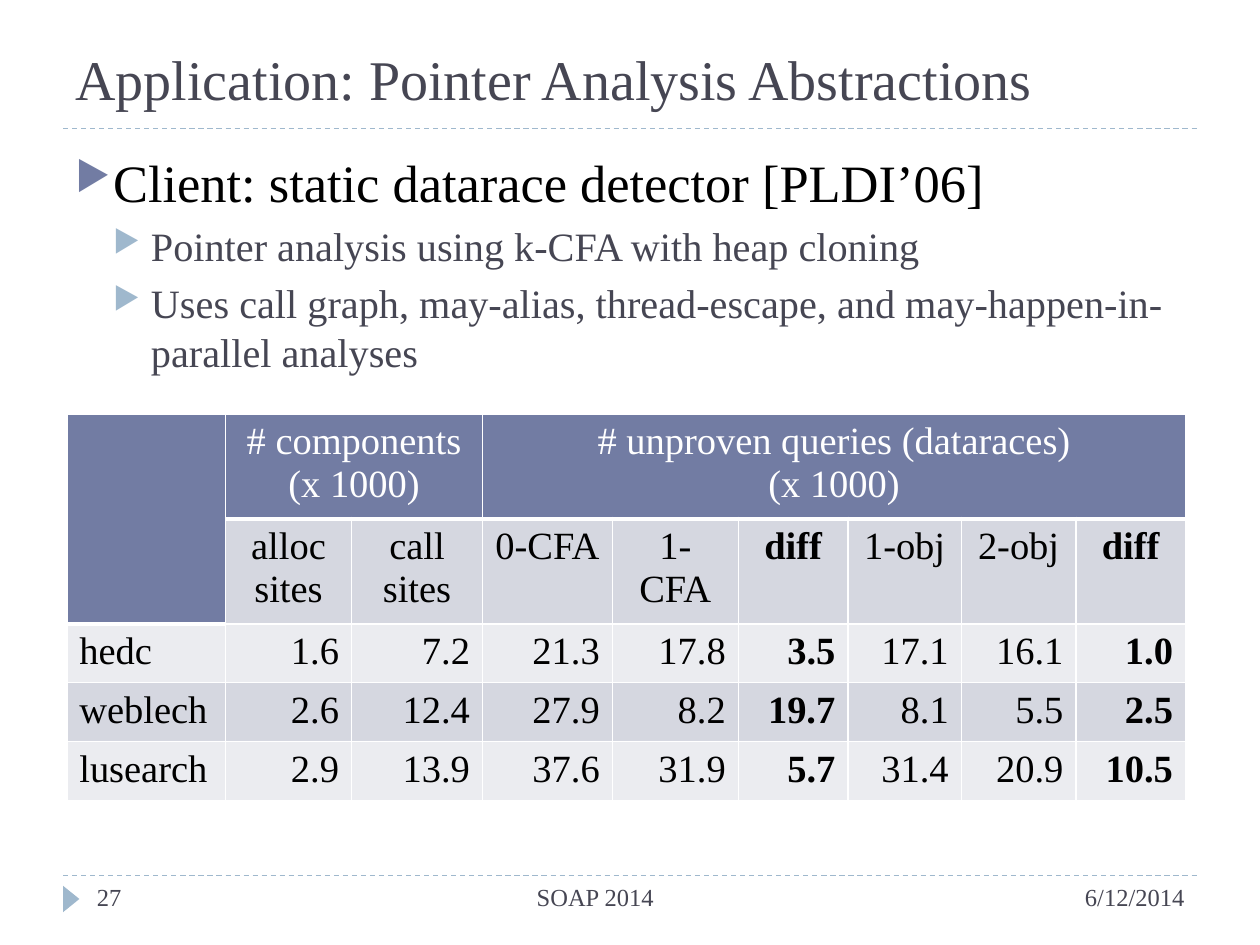
from lxml.etree import SubElement
from pptx import Presentation
from pptx.dml.color import RGBColor
from pptx.enum.dml import MSO_LINE
from pptx.enum.shapes import MSO_CONNECTOR, MSO_SHAPE
from pptx.enum.text import MSO_ANCHOR, PP_ALIGN
from pptx.oxml.ns import qn
from pptx.util import Pt

FONT = "Times New Roman"
WHITE = RGBColor(0xFF, 0xFF, 0xFF)
BLACK = RGBColor(0, 0, 0)
SLATE = RGBColor(0x46, 0x46, 0x53)
INDIGO = RGBColor(0x72, 0x7C, 0xA3)
SKY = RGBColor(0x9F, 0xB8, 0xCD)
BAND_DARK = RGBColor(0xD5, 0xD7, 0xE0)
BAND_LIGHT = RGBColor(0xEB, 0xEC, 0xF0)

TITLE = "Application: Pointer Analysis Abstractions"
BULLETS = [
    (0, "Client: static datarace detector [PLDI’06]"),
    (1, "Pointer analysis using k-CFA with heap cloning"),
    (1, "Uses call graph, may-alias, thread-escape, and may-happen-in-parallel analyses"),
]
BULLET_STYLES = [(30, BLACK, INDIGO, 6), (23, SLATE, SKY, 5)]
FOOTERS = [
    ("27", 48.24, 64.08, PP_ALIGN.LEFT),
    ("SOAP 2014", 112.32, 455.76, PP_ALIGN.CENTER),
    ("6/12/2014", 504, 180, PP_ALIGN.RIGHT),
]
RULES = [73.44, 500.4]

TABLE_ROWS = [
    ["", "# components\v(x 1000)", "", "# unproven queries (dataraces)\v(x 1000)", "", "", "", "", ""],
    ["", "alloc sites", "call sites", "0-CFA", "1-CFA", "diff", "1-obj", "2-obj", "diff"],
    ["hedc", "1.6", "7.2", "21.3", "17.8", "3.5", "17.1", "16.1", "1.0"],
    ["weblech", "2.6", "12.4", "27.9", "8.2", "19.7", "8.1", "5.5", "2.5"],
    ["lusearch", "2.9", "13.9", "37.6", "31.9", "5.7", "31.4", "20.9", "10.5"],
]
COLUMN_WIDTHS = [90.72, 72, 74.88, 74.16, 72, 62.64, 64.8, 65.52, 62.64]
ROW_HEIGHTS = [55.4, 55.4, 31.6, 31.6, 31.6]
MERGES = [((0, 0), (1, 0)), ((0, 1), (0, 2)), ((0, 3), (0, 8))]
DIFF_COLUMNS = (5, 8)


def style_runs(paragraph, size, color, bold=False):
    for run in paragraph.runs:
        run.font.name = FONT
        run.font.size = Pt(size)
        run.font.bold = bold
        run.font.color.rgb = color


def add_text(slide, text, left, top, width, height, size, color, align=PP_ALIGN.LEFT):
    box = slide.shapes.add_textbox(Pt(left), Pt(top), Pt(width), Pt(height))
    box.text_frame.word_wrap = True
    box.text_frame.text = text
    paragraph = box.text_frame.paragraphs[0]
    paragraph.alignment = align
    style_runs(paragraph, size, color)
    return box


def add_bullet(paragraph, level, color):
    properties = paragraph._p.get_or_add_pPr()
    properties.set("marL", str(Pt(21.6 * (level + 1))))
    properties.set("indent", str(-Pt(21.6)))
    bullet_color = SubElement(properties, qn("a:buClr"))
    SubElement(bullet_color, qn("a:srgbClr"), val=str(color))
    SubElement(properties, qn("a:buSzPct"), val="76000")
    SubElement(properties, qn("a:buChar"), char="▶")


def add_body(slide):
    box = slide.shapes.add_textbox(Pt(36), Pt(82.08), Pt(648), Pt(388.8))
    frame = box.text_frame
    frame.word_wrap = True
    frame.text = "\n".join(text for _, text in BULLETS)
    for index, paragraph in enumerate(frame.paragraphs):
        level = BULLETS[index][0]
        size, color, bullet_color, space = BULLET_STYLES[level]
        paragraph.level = level
        if index:
            paragraph.space_before = Pt(space)
        add_bullet(paragraph, level, bullet_color)
        style_runs(paragraph, size, color)


def add_rule(slide, top):
    rule = slide.shapes.add_connector(MSO_CONNECTOR.STRAIGHT, Pt(36), Pt(top), Pt(684), Pt(top))
    rule.line.color.rgb = SKY
    rule.line.width = Pt(0.75)
    rule.line.dash_style = MSO_LINE.DASH
    SubElement(rule._element.spPr, qn("a:effectLst"))


def set_borders(cell, bottom_width):
    properties = cell._tc.get_or_add_tcPr()
    widths = {"a:lnL": 1, "a:lnR": 1, "a:lnT": 1, "a:lnB": bottom_width}
    for position, (tag, width) in enumerate(widths.items()):
        line = SubElement(properties, qn(tag), w=str(Pt(width)))
        fill = SubElement(line, qn("a:solidFill"))
        SubElement(fill, qn("a:srgbClr"), val=str(WHITE))
        properties.insert(position, line)


def format_cell(cell, row, column):
    is_header = row == 0 or (row == 1 and column == 0)
    cell.fill.solid()
    if is_header:
        cell.fill.fore_color.rgb = INDIGO
    else:
        cell.fill.fore_color.rgb = BAND_DARK if row % 2 else BAND_LIGHT
    set_borders(cell, 3 if is_header else 1)
    cell.text_frame.text = TABLE_ROWS[row][column]
    paragraph = cell.text_frame.paragraphs[0]
    if row < 2:
        paragraph.alignment = PP_ALIGN.CENTER
    else:
        paragraph.alignment = PP_ALIGN.RIGHT if column else PP_ALIGN.LEFT
    bold = row > 0 and column in DIFF_COLUMNS
    style_runs(paragraph, 22, WHITE if is_header else BLACK, bold)


def add_results_table(slide):
    table = slide.shapes.add_table(
        len(ROW_HEIGHTS), len(COLUMN_WIDTHS), Pt(38.16), Pt(236.5),
        Pt(sum(COLUMN_WIDTHS)), Pt(sum(ROW_HEIGHTS)),
    ).table
    for column, width in zip(table.columns, COLUMN_WIDTHS):
        column.width = Pt(width)
    for row, height in zip(table.rows, ROW_HEIGHTS):
        row.height = Pt(height)
    for row in range(len(ROW_HEIGHTS)):
        for column in range(len(COLUMN_WIDTHS)):
            format_cell(table.cell(row, column), row, column)
    for first, last in MERGES:
        table.cell(*first).merge(table.cell(*last))


def main():
    presentation = Presentation()
    presentation.slide_width = Pt(720)
    presentation.slide_height = Pt(540)
    slide = presentation.slides.add_slide(presentation.slide_layouts[6])

    for top in RULES:
        add_rule(slide, top)
    marker = slide.shapes.add_shape(
        MSO_SHAPE.ISOSCELES_TRIANGLE, Pt(33.12), Pt(509.04), Pt(15.12), Pt(9.36)
    )
    marker.rotation = 90
    marker.shadow.inherit = False
    marker.fill.solid()
    marker.fill.fore_color.rgb = SKY
    marker.line.fill.background()

    title = add_text(slide, TITLE, 36, 12.24, 648, 55.44, 32, SLATE)
    title.text_frame.vertical_anchor = MSO_ANCHOR.BOTTOM
    add_body(slide)
    add_results_table(slide)
    for text, left, width, align in FOOTERS:
        add_text(slide, text, left, 500.4, width, 28.8, 14, SLATE, align)

    presentation.save("out.pptx")


if __name__ == "__main__":
    main()
